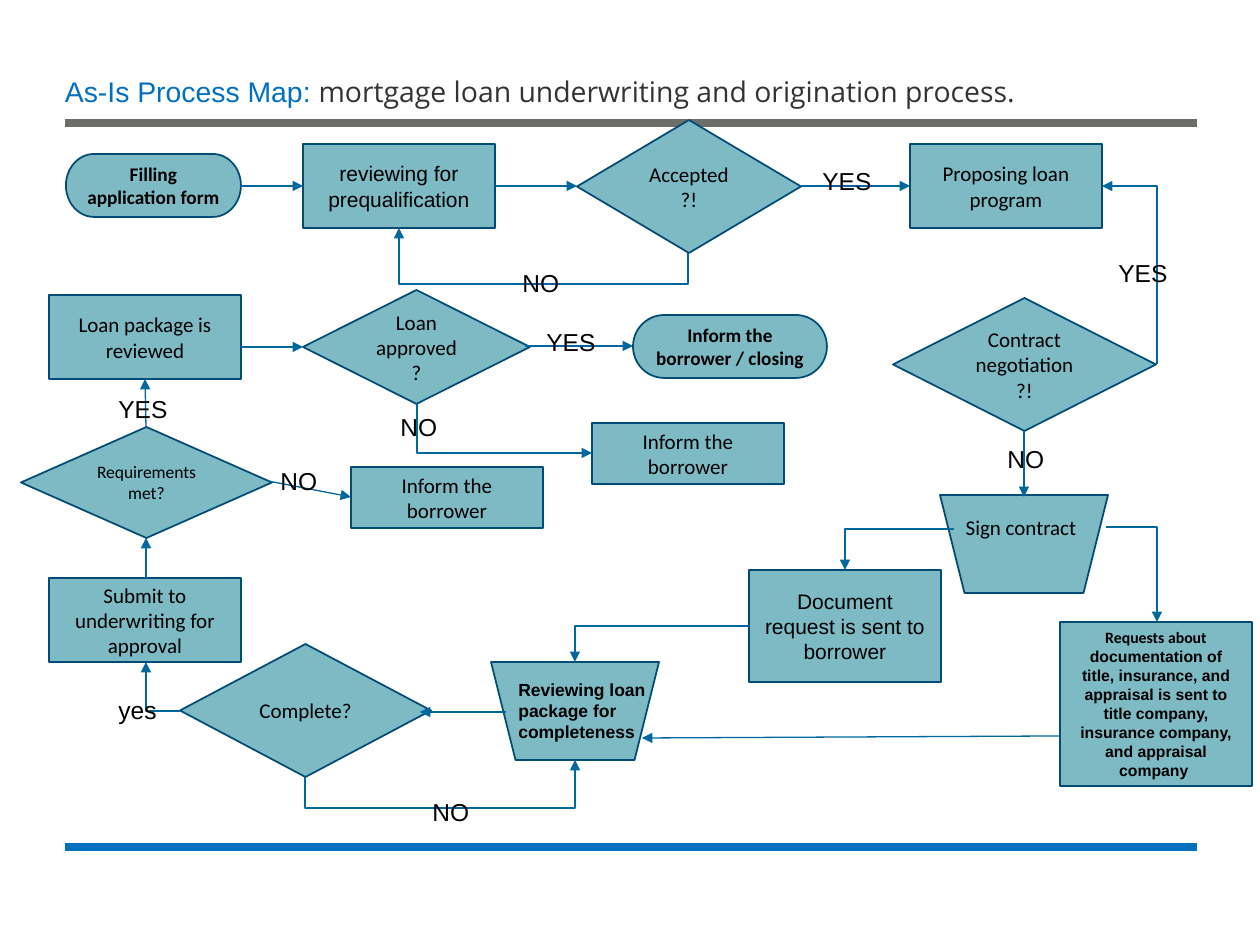
from dataclasses import dataclass
from typing import Optional

from lxml.etree import SubElement
from pptx import Presentation
from pptx.dml.color import RGBColor
from pptx.enum.shapes import MSO_CONNECTOR, MSO_SHAPE
from pptx.enum.text import MSO_ANCHOR, PP_ALIGN
from pptx.oxml.ns import qn
from pptx.util import Emu, Pt

COLORS = {
    "title": "0070C0",
    "subtitle": "333333",
    "top_rule": "6D6E6A",
    "bottom_rule": "0070C0",
    "node": "7DBAC4",
    "outline": "004C76",
    "arrow": "00679F",
    "text": "000000",
}
PROCESS = MSO_SHAPE.FLOWCHART_PROCESS
DECISION = MSO_SHAPE.FLOWCHART_DECISION
TERMINATOR = MSO_SHAPE.FLOWCHART_TERMINATOR
BOX_WIDTH = 192
BOX_HEIGHT = 84
SMALL_BOX_HEIGHT = 61


@dataclass(frozen=True)
class Node:
    kind: MSO_SHAPE
    left: int
    top: int
    text: str
    width: int = BOX_WIDTH
    height: int = BOX_HEIGHT
    font: str = "Calibri"
    size: float = 12
    bold: bool = False


@dataclass(frozen=True)
class Arrow:
    start: tuple[int, int]
    end: tuple[int, int]
    bend: str = ""
    turn: Optional[int] = None


@dataclass(frozen=True)
class Label:
    left: int
    top: int
    text: str
    width: int = 88
    height: int = 43
    font: str = "Arial"
    size: float = 14
    bold: bool = False
    align: PP_ALIGN = PP_ALIGN.LEFT


NODES = [
    Node(TERMINATOR, 66, 154, "Filling application form", 175, 63, size=11, bold=True),
    Node(PROCESS, 303, 144, "reviewing for prequalification", font="Arial"),
    Node(DECISION, 577, 120, "Accepted ?!", 224, 133),
    Node(PROCESS, 910, 144, "Proposing loan program"),
    Node(DECISION, 893, 298, "Contract negotiation?!", 263, 133),
    Node(PROCESS, 749, 570, "Document request is sent to borrower", height=112, font="Arial"),
    Node(DECISION, 180, 644, "Complete?", 251, 133),
    Node(PROCESS, 49, 578, "Submit to underwriting for approval"),
    Node(DECISION, 21, 427, "Requirements met?", 251, 111, size=10),
    Node(PROCESS, 351, 467, "Inform the borrower", height=SMALL_BOX_HEIGHT),
    Node(PROCESS, 49, 295, "Loan package is reviewed"),
    Node(DECISION, 303, 290, "Loan approved?", 227, 114),
    Node(PROCESS, 592, 423, "Inform the borrower", height=SMALL_BOX_HEIGHT),
    Node(TERMINATOR, 633, 315, "Inform the borrower / closing", 194, 63, size=11, bold=True),
    Node(MSO_SHAPE.TRAPEZOID, 940, 495, "", 168, 98),
    Node(MSO_SHAPE.TRAPEZOID, 491, 662, "", 168, 98),
]
REQUEST_NODE = Node(PROCESS, 1060, 622, "Requests about ", height=164, size=9, bold=True)
REQUEST_DETAIL = (
    "documentation of title, insurance, and appraisal is sent to title company, "
    "insurance company, and appraisal company "
)
ARROWS = [
    Arrow((241, 186), (303, 186)),
    Arrow((495, 186), (577, 186)),
    Arrow((801, 186), (910, 186)),
    Arrow((688, 253), (399, 228), "vertical", 284),
    Arrow((1157, 364), (1102, 186), "vertical"),
    Arrow((1024, 431), (1024, 497)),
    Arrow((1106, 527), (1157, 622), "horizontal"),
    Arrow((954, 529), (845, 570), "horizontal"),
    Arrow((749, 626), (575, 662), "horizontal"),
    Arrow((1060, 736), (642, 738)),
    Arrow((506, 712), (420, 712)),
    Arrow((305, 777), (575, 760), "vertical", 808),
    Arrow((180, 711), (146, 662), "horizontal"),
    Arrow((146, 578), (146, 538)),
    Arrow((268, 481), (351, 497)),
    Arrow((146, 427), (145, 379)),
    Arrow((241, 347), (303, 347)),
    Arrow((525, 346), (633, 346)),
    Arrow((417, 404), (592, 453), "vertical"),
]
LABELS = [
    Label(510, 262, "NO"),
    Label(810, 160, "YES"),
    Label(995, 438, "NO"),
    Label(1106, 252, "YES"),
    Label(420, 791, "NO"),
    Label(106, 689, "yes"),
    Label(268, 460, "NO"),
    Label(106, 388, "YES"),
    Label(534, 321, "YES"),
    Label(388, 406, "NO"),
    Label(937, 508, "Sign contract", 168, 38, "Calibri", 12, align=PP_ALIGN.CENTER),
    Label(506, 673, "Reviewing loan package for completeness", 183, 77, size=10, bold=True),
]


def px(value: float) -> Emu:
    return Emu(round(value * 914400 / 126))


def write_text(shape, text: str, *, font: str, size: float, color: str = "text",
               bold: bool = False, align: PP_ALIGN = PP_ALIGN.LEFT,
               anchor: MSO_ANCHOR = MSO_ANCHOR.TOP) -> None:
    frame = shape.text_frame
    frame.word_wrap = True
    frame.vertical_anchor = anchor
    paragraph = frame.paragraphs[0]
    paragraph.alignment = align
    run = paragraph.add_run()
    run.text = text
    run.font.name = font
    run.font.size = Pt(size)
    run.font.bold = bold
    run.font.color.rgb = RGBColor.from_string(COLORS[color])


def add_node(slide, node: Node):
    shape = slide.shapes.add_shape(
        node.kind, px(node.left), px(node.top), px(node.width), px(node.height))
    shape.shadow.inherit = False
    shape.fill.solid()
    shape.fill.fore_color.rgb = RGBColor.from_string(COLORS["node"])
    shape.line.color.rgb = RGBColor.from_string(COLORS["outline"])
    shape.line.width = Pt(1)
    if node.kind == MSO_SHAPE.TRAPEZOID:
        shape.rotation = 180
    if node.text:
        write_text(shape, node.text, font=node.font, size=node.size, bold=node.bold,
                   align=PP_ALIGN.CENTER, anchor=MSO_ANCHOR.MIDDLE)
    return shape


def add_line(slide, start: tuple[int, int], end: tuple[int, int], color: str,
             width: float, kind: MSO_CONNECTOR = MSO_CONNECTOR.STRAIGHT):
    line = slide.shapes.add_connector(kind, px(start[0]), px(start[1]), px(end[0]), px(end[1]))
    line.line.color.rgb = RGBColor.from_string(COLORS[color])
    line.line.width = Pt(width)
    SubElement(line._element.spPr, qn("a:effectLst"))
    return line


def bend_line(line, arrow: Arrow) -> None:
    properties = line._element.spPr
    geometry = properties.find(qn("a:prstGeom"))
    across = arrow.end[0] - arrow.start[0]
    down = arrow.end[1] - arrow.start[1]
    if arrow.turn is None:
        geometry.set("prst", "bentConnector2")
    else:
        ratio = (arrow.turn - arrow.start[1]) / down
        guide = SubElement(geometry.find(qn("a:avLst")), qn("a:gd"))
        guide.set("name", "adj1")
        guide.set("fmla", f"val {round(ratio * 100000)}")
    if arrow.bend == "vertical":
        width, height = abs(down), abs(across)
        line.left = px((arrow.start[0] + arrow.end[0] - width) / 2)
        line.top = px((arrow.start[1] + arrow.end[1] - height) / 2)
        line.width, line.height = px(width), px(height)
        transform = properties.find(qn("a:xfrm"))
        transform.set("rot", str(90 * 60000))
        transform.set("flipH", str(int(down < 0)))
        transform.set("flipV", str(int(across > 0)))


def add_arrow(slide, arrow: Arrow) -> None:
    kind = MSO_CONNECTOR.ELBOW if arrow.bend else MSO_CONNECTOR.STRAIGHT
    line = add_line(slide, arrow.start, arrow.end, "arrow", 0.75, kind)
    SubElement(line.line._get_or_add_ln(), qn("a:tailEnd")).set("type", "triangle")
    if arrow.bend:
        bend_line(line, arrow)


def add_label(slide, label: Label) -> None:
    box = slide.shapes.add_textbox(
        px(label.left), px(label.top), px(label.width), px(label.height))
    write_text(box, label.text, font=label.font, size=label.size, bold=label.bold,
               align=label.align)


def add_title(slide) -> None:
    title = slide.shapes.add_textbox(px(65), px(74), px(1134), px(38))
    title.text_frame.margin_left = title.text_frame.margin_right = 0
    for text, font, color in (
        ("As-Is Process Map: ", "Arial", "title"),
        ("mortgage loan underwriting and origination process.", "Open Sans", "subtitle"),
    ):
        write_text(title, text, font=font, size=16.2, color=color, anchor=MSO_ANCHOR.MIDDLE)
    title.text_frame.paragraphs[0].line_spacing = 0.9


def main() -> None:
    presentation = Presentation()
    presentation.slide_width, presentation.slide_height = px(1260), px(945)
    slide = presentation.slides.add_slide(presentation.slide_layouts[6])
    for height, color in ((123, "top_rule"), (847, "bottom_rule")):
        add_line(slide, (65, height), (1197, height), color, 4.5)
    add_title(slide)
    for node in NODES:
        add_node(slide, node)
    request = add_node(slide, REQUEST_NODE)
    write_text(request, REQUEST_DETAIL, font="Arial", size=9, bold=True,
               align=PP_ALIGN.CENTER, anchor=MSO_ANCHOR.MIDDLE)
    for arrow in ARROWS:
        add_arrow(slide, arrow)
    for label in LABELS:
        add_label(slide, label)
    presentation.save("out.pptx")


main()
